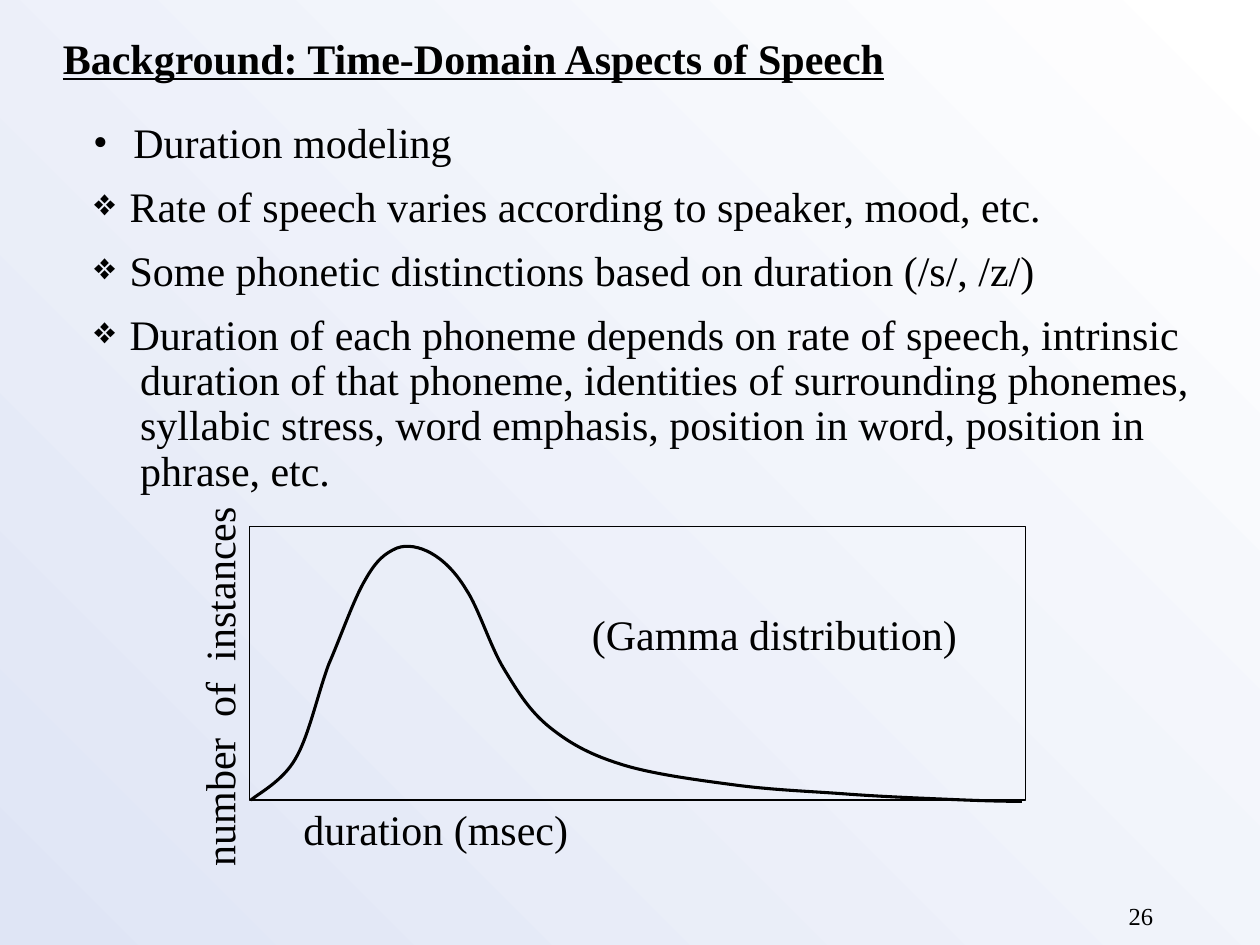
from lxml import etree
from pptx import Presentation
from pptx.dml.color import RGBColor
from pptx.enum.shapes import MSO_SHAPE
from pptx.enum.text import PP_ALIGN
from pptx.oxml.ns import qn
from pptx.util import Inches, Pt

RECTANGLE = MSO_SHAPE.RECTANGLE
LEFT, RIGHT = PP_ALIGN.LEFT, PP_ALIGN.RIGHT

BULLETS = [
    ("•", 100, 0.32, ["Duration modeling"]),
    ("❖", 70, 0.29, ["Rate of speech varies according to speaker, mood, etc."]),
    ("❖", 70, 0.29, ["Some phonetic distinctions based on duration (/s/, /z/)"]),
    ("❖", 70, 0.29, [
        "Duration of each phoneme depends on rate of speech, intrinsic",
        " duration of that phoneme, identities of surrounding phonemes,",
        " syllabic stress, word emphasis, position in word, position in",
        " phrase, etc.",
    ]),
]

GAMMA_START = (1.99, 6.35)
GAMMA_CURVE = [
    ((2.05, 6.3), (2.24, 6.2), (2.34, 6.03)),
    ((2.45, 5.85), (2.52, 5.51), (2.61, 5.27)),
    ((2.71, 5.04), (2.81, 4.75), (2.9, 4.6)),
    ((2.99, 4.44), (3.06, 4.39), (3.15, 4.35)),
    ((3.23, 4.32), (3.33, 4.34), (3.42, 4.39)),
    ((3.51, 4.44), (3.61, 4.53), (3.7, 4.68)),
    ((3.8, 4.83), (3.89, 5.13), (4, 5.31)),
    ((4.11, 5.49), (4.2, 5.64), (4.36, 5.77)),
    ((4.51, 5.89), (4.66, 5.98), (4.91, 6.06)),
    ((5.15, 6.14), (5.53, 6.19), (5.83, 6.23)),
    ((6.13, 6.27), (6.42, 6.28), (6.69, 6.3)),
    ((6.96, 6.32), (7.19, 6.33), (7.43, 6.34)),
    ((7.66, 6.35), (7.89, 6.36), (8.11, 6.36)),
]


def color(value):
    return RGBColor.from_string(value)


class SlideWriter:
    """Draws elements on one slide in a shared style."""

    def __init__(self, slide, font="Times New Roman", ink="000000", size=24):
        self.slide, self.font, self.ink, self.size = slide, font, ink, size

    def background(self, start, end, angle):
        fill = self.slide.background.fill
        fill.gradient()
        fill.gradient_angle = angle
        for stop, value in zip(fill.gradient_stops, (start, end)):
            stop.color.rgb = color(value)

    def box(self, area, wrap=False, rotation=0):
        box = self.slide.shapes.add_textbox(*map(Inches, area))
        box.rotation = rotation
        box.text_frame.word_wrap = wrap
        return box.text_frame

    def span(self, para, text, size=None, heading=False):
        span = para.add_run()
        span.text = text
        span.font.name = self.font
        span.font.size = Pt(size or self.size)
        span.font.color.rgb = color(self.ink)
        if heading:
            span.font.bold = span.font.underline = True

    def label(self, text, area, size=None, heading=False, align=LEFT, wrap=False, rotation=0):
        para = self.box(area, wrap, rotation).paragraphs[0]
        para.alignment = align
        self.span(para, text, size, heading)

    def bullet_list(self, items, area):
        frame = self.box(area, wrap=True)
        for index, (mark, percent, indent, lines) in enumerate(items):
            para = frame.add_paragraph() if index else frame.paragraphs[0]
            para.line_spacing = 0.9
            para.space_before = Pt(10.6 if index else 0)
            self.bullet(para, mark, percent, indent)
            for number, line in enumerate(lines):
                if number:
                    para.add_line_break()
                self.span(para, line)

    def bullet(self, para, mark, percent, indent):
        props = para._p.get_or_add_pPr()
        props.set("marL", str(Inches(indent)))
        props.set("indent", str(-Inches(indent)))
        tint = etree.SubElement(props, qn("a:buClr"))
        etree.SubElement(tint, qn("a:srgbClr"), val=self.ink)
        etree.SubElement(props, qn("a:buSzPct"), val=str(percent * 1000))
        etree.SubElement(props, qn("a:buFont"), typeface=self.font)
        etree.SubElement(props, qn("a:buChar"), char=mark)

    def outline(self, shape, width):
        shape.shadow.inherit = False
        shape.fill.background()
        shape.line.color.rgb = color(self.ink)
        shape.line.width = Pt(width)

    def frame(self, area, width):
        self.outline(self.slide.shapes.add_shape(RECTANGLE, *map(Inches, area)), width)

    def curve(self, start, segments, width):
        points = [tuple(map(Inches, point)) for segment in segments for point in segment]
        builder = self.slide.shapes.build_freeform(*map(Inches, start))
        builder.add_line_segments(points, close=False)
        shape = builder.convert_to_shape()
        lines = list(shape._element.iter(qn("a:lnTo")))
        outline = lines[0].getparent()
        for first in range(0, len(lines), 3):
            bezier = etree.SubElement(outline, qn("a:cubicBezTo"))
            for line in lines[first:first + 3]:
                bezier.append(line[0])
                outline.remove(line)
        self.outline(shape, width)


def main():
    deck = Presentation()
    deck.slide_width, deck.slide_height = Inches(10), Inches(7.5)
    page = SlideWriter(deck.slides.add_slide(deck.slide_layouts[6]))
    page.background("FFFFFF", "DFE5F5", 225)
    page.label("Background: Time-Domain Aspects of Speech", (0.4, 0.21, 6.75, 0.5), heading=True)
    page.bullet_list(BULLETS, (0.64, 0.92, 8.95, 3.07))
    page.frame((1.98, 4.18, 6.16, 2.17), 0.75)
    page.curve(GAMMA_START, GAMMA_CURVE, 1.75)
    page.label("duration (msec)", (2.31, 6.33, 2.3, 0.5))
    page.label("number  of  instances", (0.21, 5.2, 3.05, 0.5), rotation=270)
    page.label("(Gamma distribution)", (4.6, 4.78, 3.1, 0.5))
    page.label("26", (7.17, 7.1, 2.08, 0.23), size=14, align=RIGHT, wrap=True)
    deck.save("out.pptx")


if __name__ == "__main__":
    main()
